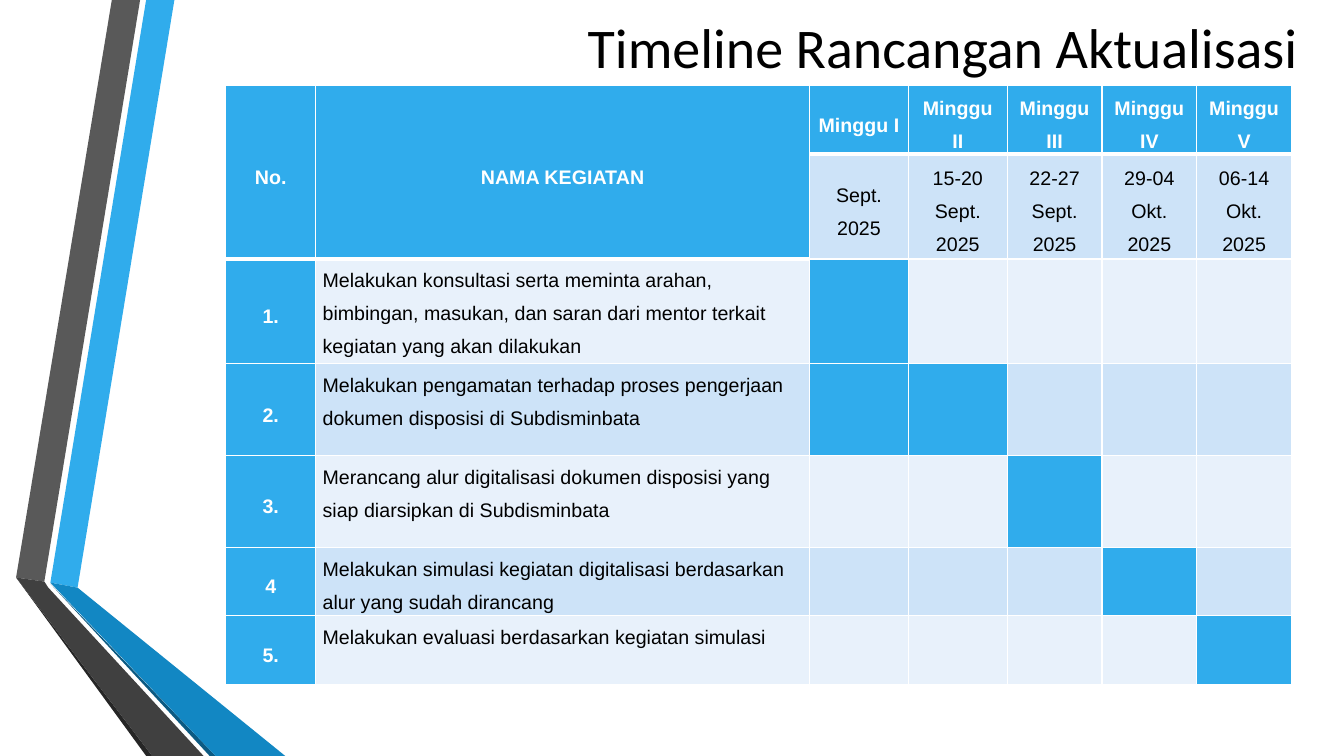
import pptx
import pptx.dml.color
import pptx.enum.text
import pptx.oxml
import pptx.oxml.ns
import pptx.util

Inches = pptx.util.Inches
Pt = pptx.util.Pt
RGBColor = pptx.dml.color.RGBColor
Align = pptx.enum.text.PP_ALIGN
Anchor = pptx.enum.text.MSO_ANCHOR

WHITE = RGBColor(0xFF, 0xFF, 0xFF)
BLACK = RGBColor(0, 0, 0)
BLUE = RGBColor(0x30, 0xAC, 0xEC)
MID_BLUE = RGBColor(0x12, 0x87, 0xC3)
DEEP_BLUE = RGBColor(0x0C, 0x5A, 0x82)
GREY = RGBColor(0x59, 0x59, 0x59)
DARK_GREY = RGBColor(0x40, 0x40, 0x40)
NEAR_BLACK = RGBColor(0x26, 0x26, 0x26)
BAND_DARK = RGBColor(0xCD, 0xE3, 0xF8)
BAND_LIGHT = RGBColor(0xE8, 0xF1, 0xFB)

# Ribbon facets: colour and corner points in inches
RIBBON = [
    (BLUE, [(0.5, 5.78), (0.77, 5.83), (1.73, 0), (1.45, 0)]),
    (GREY, [(1.39, 0), (1.11, 0), (0.16, 5.73), (0.44, 5.77)]),
    (NEAR_BLACK, [(0.16, 5.73), (1.45, 7.5), (1.51, 7.5)]),
    (DEEP_BLUE, [(0.5, 5.79), (2.08, 7.5), (2.14, 7.5)]),
    (MID_BLUE, [(0.5, 5.78), (2.14, 7.5), (2.83, 7.5), (0.77, 5.83)]),
    (DARK_GREY, [(2.02, 7.5), (0.48, 5.83), (0.44, 5.77), (0.16, 5.73), (1.51, 7.5)]),
]

COLUMN_WIDTHS = [0.89, 4.9, 0.98, 0.98, 0.94, 0.94, 0.94]
ROW_HEIGHTS = [0.68, 1.04, 1.04, 0.91, 0.91, 0.68, 0.68]
HEADINGS = ["No.", "NAMA KEGIATAN", "Minggu I", "Minggu II", "Minggu III",
            "Minggu IV", "Minggu V"]
DATES = ["Sept. 2025", "15-20 Sept. 2025", "22-27 Sept. 2025",
         "29-04 Okt. 2025", "06-14 Okt. 2025"]
# Number, activity, and the weeks in which it runs
ACTIVITIES = [
    ("1.", "Melakukan konsultasi serta meminta arahan, bimbingan, masukan, dan saran "
           "dari mentor terkait kegiatan yang akan dilakukan", {1}),
    ("2.", "Melakukan pengamatan terhadap proses pengerjaan dokumen disposisi "
           "di Subdisminbata", {1, 2}),
    ("3.", "Merancang alur digitalisasi dokumen disposisi yang siap diarsipkan "
           "di Subdisminbata", {3}),
    ("4", "Melakukan simulasi kegiatan digitalisasi berdasarkan alur yang sudah "
          "dirancang", {4}),
    ("5.", "Melakukan evaluasi berdasarkan kegiatan simulasi", {5}),
]


def write_text(frame, text, font="Arial", size=14, color=BLACK, bold=False,
               align=Align.CENTER, line=None, after=None):
    para = frame.paragraphs[0]
    para.alignment = align
    if line is not None:
        para.line_spacing = line
    if after is not None:
        para.space_after = Pt(after)
    span = para.add_run()
    span.text = text
    span.font.name = font
    span.font.size = Pt(size)
    span.font.bold = bold
    span.font.color.rgb = color


def bottom_width(row, column):
    """The line under the heading cells is thicker than the rest."""
    heading_rows = 2 if column < 2 else 1
    return 3 if 0 <= row < heading_rows else 1


class TimelineSlide:
    def __init__(self, deck):
        self.page = deck.slides.add_slide(deck.slide_layouts[5])

    def title(self, text, left, top, width, height):
        box = self.page.shapes.title
        box.left, box.top = Inches(left), Inches(top)
        box.width, box.height = Inches(width), Inches(height)
        box.text_frame.word_wrap = True
        box.text_frame.vertical_anchor = Anchor.MIDDLE
        write_text(box.text_frame, text, font="Calibri", size=40)

    def polygon(self, color, corners):
        points = [(Inches(x), Inches(y)) for x, y in corners]
        builder = self.page.shapes.build_freeform(*points[0])
        builder.add_line_segments(points[1:], close=True)
        shape = builder.convert_to_shape()
        shape.shadow.inherit = False
        shape.fill.solid()
        shape.fill.fore_color.rgb = color
        shape.line.fill.background()

    def table(self, left, top, widths, heights):
        frame = self.page.shapes.add_table(
            len(heights), len(widths), Inches(left), Inches(top),
            Inches(sum(widths)), Inches(sum(heights)))
        grid = frame.table
        for column, width in zip(grid.columns, widths):
            column.width = Inches(width)
        for row, height in zip(grid.rows, heights):
            row.height = Inches(height)
        return grid

    def borders(self, cell, row, column):
        properties = cell._tc.get_or_add_tcPr()
        widths = {"lnL": 1, "lnR": 1, "lnT": bottom_width(row - 1, column),
                  "lnB": bottom_width(row, column)}
        for side, width in widths.items():
            properties.append(pptx.oxml.parse_xml(
                f'<a:{side} {pptx.oxml.ns.nsdecls("a")} w="{Pt(width)}">'
                f'<a:solidFill><a:srgbClr val="{WHITE}"/></a:solidFill></a:{side}>'))

    def cell(self, grid, row, column, fill, text="", anchor=Anchor.MIDDLE, **style):
        cell = grid.cell(row, column)
        self.borders(cell, row, column)
        cell.fill.solid()
        cell.fill.fore_color.rgb = fill
        cell.margin_left = cell.margin_right = Inches(0.07)
        cell.margin_top = cell.margin_bottom = 0
        cell.vertical_anchor = anchor
        if text:
            write_text(cell.text_frame, text, line=1.5, **{"after": 2, **style})


def main():
    deck = pptx.Presentation()
    deck.slide_width, deck.slide_height = Inches(13.33), Inches(7.5)
    slide = TimelineSlide(deck)

    # Ribbon on the left
    for color, corners in RIBBON:
        slide.polygon(color, corners)

    slide.title("Timeline Rancangan Aktualisasi", 3.87, -0.5, 10.96, 1.92)

    # Table headings and dates
    grid = slide.table(2.24, 0.85, COLUMN_WIDTHS, ROW_HEIGHTS)
    for column, heading in enumerate(HEADINGS):
        slide.cell(grid, 0, column, BLUE, heading, color=WHITE, bold=True)
    for column in range(2):
        slide.cell(grid, 1, column, BLUE)
        grid.cell(0, column).merge(grid.cell(1, column))
    for column, date in enumerate(DATES, start=2):
        slide.cell(grid, 1, column, BAND_DARK, date)

    # Activities and their weeks
    for row, (number, activity, weeks) in enumerate(ACTIVITIES, start=2):
        band = BAND_DARK if row % 2 else BAND_LIGHT
        slide.cell(grid, row, 0, BLUE, number, color=WHITE, bold=True)
        slide.cell(grid, row, 1, band, activity, anchor=Anchor.TOP,
                   align=Align.LEFT, after=10 if row == 2 else 2)
        for week in range(1, len(DATES) + 1):
            slide.cell(grid, row, week + 1, BLUE if week in weeks else band)

    deck.save("out.pptx")


if __name__ == "__main__":
    main()
